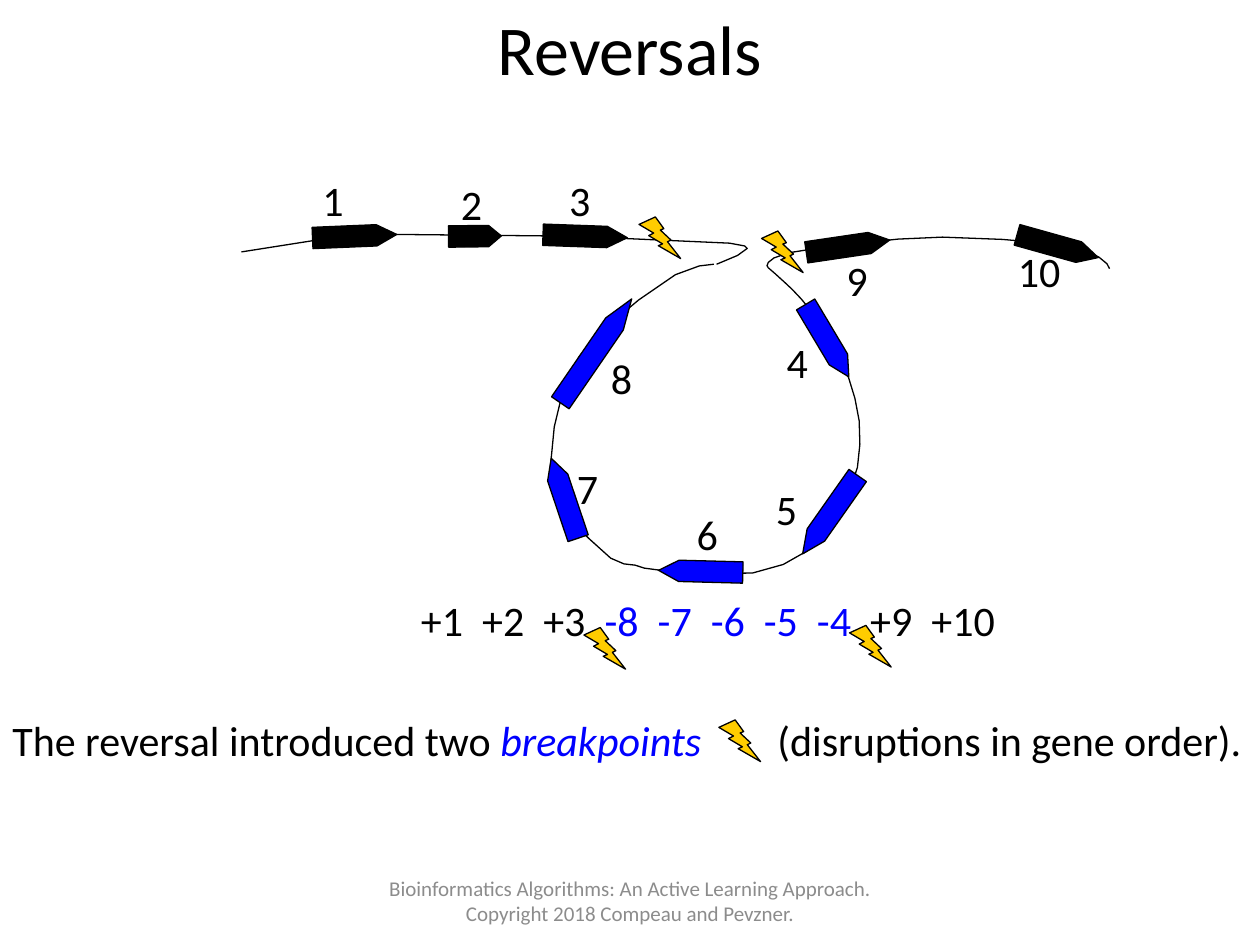
from lxml import etree
from pptx import Presentation
from pptx.dml.color import RGBColor
from pptx.enum.shapes import MSO_SHAPE
from pptx.enum.text import MSO_ANCHOR, PP_ALIGN
from pptx.oxml.ns import qn
from pptx.util import Pt

ARROW, BOLT = MSO_SHAPE.RIGHT_ARROW, MSO_SHAPE.LIGHTNING_BOLT
TOP, MIDDLE = MSO_ANCHOR.TOP, MSO_ANCHOR.MIDDLE
LEFT, CENTER = PP_ALIGN.LEFT, PP_ALIGN.CENTER

BLACK = RGBColor(0, 0, 0)
BLUE = RGBColor(0, 0, 255)
GOLD = RGBColor(255, 204, 0)
GREY = RGBColor(140, 140, 140)

TITLE = "Reversals"
GENE_ORDER = [("+1  +2  +3  ", BLACK), ("-8  -7  -6  -5  -4  ", BLUE), ("+9  +10", BLACK)]
SENTENCE = [
    ("The reversal introduced two ", BLACK),
    ("breakpoints\t", BLUE, True),
    ("(disruptions in gene order).", BLACK),
]
FOOTER = [("Bioinformatics Algorithms: An Active Learning Approach. "
           "Copyright 2018 Compeau and Pevzner.", GREY)]

LOOP = [
    (439, 153), (448, 161), (458, 171), (472, 189), (477, 199), (485, 216),
    (491, 240.5), (490, 267), (482, 289), (479.5, 295), (461, 315),
    (430, 327.5), (378, 326), (363, 323), (349, 319), (325, 296), (321, 290),
    (314.5, 267), (322.5, 220), (344, 189), (386, 157), (408, 151),
]
RIGHT_STRAND = [
    (439, 153), (439, 150), (450.5, 144.5), (491, 139), (538.5, 135.5),
    (604, 139.5), (628, 147), (634, 153.5),
]
LEFT_STRAND = [
    (138, 144), (182.5, 137), (227.5, 134), (327.5, 135), (417, 139),
    (425.5, 140.6), (427, 142), (421.5, 146), (412, 150), (409.5, 151),
]
STRANDS = [(LOOP, 2), (RIGHT_STRAND, 2), (LEFT_STRAND, 1)]

# gene: (arrow left, top, length, rotation, colour), (label left, top, width)
GENES = {
    "1": ((178.6, 128.9, 48.2, 357.6, BLACK), (177.1, 96.1, 26.6)),
    "2": ((256.3, 128.9, 30.2, 359.4, BLACK), (256.3, 98.6, 26.6)),
    "3": ((310.3, 128.9, 48.2, 2, BLACK), (318.2, 96.1, 26.6)),
    "4": ((448.6, 188.6, 48.2, 59.2, BLUE), (442.5, 188.6, 26.6)),
    "5": ((447, 288, 54.7, 125.1, BLUE), (436.3, 272.9, 26.6)),
    "6": ((376.3, 320.4, 48.2, 181.5, BLUE), (391, 287.3, 26.6)),
    "7": ((298.6, 278.6, 48.2, 251.4, BLUE), (322.6, 260.6, 41.8)),
    "8": ((304.6, 194.4, 72, 304.5, BLUE), (342, 198, 41.8)),
    "9": ((460.5, 134.6, 48.2, 351.6, BLACK), (476.6, 141.8, 41.8)),
    "10": ((580.3, 134.6, 48.2, 15.6, BLACK), (574.6, 136.8, 38.9)),
}
ARROW_HEIGHT = 12.2
HEAD_LENGTH = 11.6
BOLTS = [(435.2, 132), (365.2, 124), (410.8, 411.4), (333.7, 358.6), (485.5, 357.4)]
BOLT_SIZE = 23.8
LABEL_HEIGHT = 36
BRACKET_TAB = 437.2


def smooth(points, steps):
    padded = [points[0], *points, points[-1]]
    curve = [points[0]]
    for a, b, c, d in zip(padded, padded[1:], padded[2:], padded[3:]):
        for step in range(1, steps + 1):
            t = step / steps
            curve.append(tuple(
                b[i] + t / 2 * (c[i] - a[i]
                                + t * (2 * a[i] - 5 * b[i] + 4 * c[i] - d[i])
                                + t * t * (3 * b[i] - a[i] - 3 * c[i] + d[i]))
                for i in (0, 1)))
    return curve


def outline(shape, fill=None):
    shape.shadow.inherit = False
    shape.line.color.rgb = BLACK
    shape.line.width = Pt(0.75)
    if fill is None:
        shape.fill.background()
    else:
        shape.fill.solid()
        shape.fill.fore_color.rgb = fill


def add_strand(page, points, steps):
    first, *rest = [(x * 100, y * 100) for x, y in smooth(points, steps)]
    builder = page.shapes.build_freeform(*first, scale=Pt(1) / 100)
    builder.add_line_segments(rest, close=False)
    outline(builder.convert_to_shape())


def add_symbol(page, kind, frame, fill):
    shape = page.shapes.add_shape(kind, *map(Pt, frame))
    outline(shape, fill)
    return shape


def write(box, spans, size=24, align=LEFT, **frame_format):
    for name, value in frame_format.items():
        setattr(box.text_frame, name, value)
    para = box.text_frame.paragraphs[0]
    para.alignment = align
    for text, color, *italic in spans:
        span = para.add_run()
        span.text = text
        for name, value in {"name": "Calibri", "size": Pt(size), "italic": bool(italic)}.items():
            setattr(span.font, name, value)
        span.font.color.rgb = color
    return para


def add_text(page, frame, spans, **options):
    box = page.shapes.add_textbox(*map(Pt, frame))
    return write(box, spans, **options)


def main():
    deck = Presentation()
    deck.slide_width, deck.slide_height = Pt(720), Pt(540)
    page = deck.slides.add_slide(deck.slide_layouts[5])

    title = page.shapes.title
    title.left, title.top, title.width, title.height = map(Pt, (36, 3, 648, 90))
    write(title, [(TITLE, BLACK)], size=40, align=CENTER,
          vertical_anchor=TOP, margin_top=0)

    for points, steps in STRANDS:
        add_strand(page, points, steps)

    for gene, (arrow, label) in GENES.items():
        left, top, length, rotation, color = arrow
        shape = add_symbol(page, ARROW, (left, top, length, ARROW_HEIGHT), color)
        shape.rotation = rotation
        shape.adjustments[0] = 1
        shape.adjustments[1] = HEAD_LENGTH * length / 48.2 / ARROW_HEIGHT
        add_text(page, (*label, LABEL_HEIGHT), [(gene, BLACK)], word_wrap=False)

    add_text(page, (233.5, 336.2, 345.6, LABEL_HEIGHT), GENE_ORDER, word_wrap=False)
    para = add_text(page, (0, 408.2, 720, 156.2), SENTENCE, word_wrap=True)
    para.line_spacing = 0.9
    tabs = etree.SubElement(para._p.get_or_add_pPr(), qn("a:tabLst"))
    etree.SubElement(tabs, qn("a:tab"), pos=str(Pt(BRACKET_TAB)), algn="l")

    for left, top in BOLTS:
        add_symbol(page, BOLT, (left, top, BOLT_SIZE, BOLT_SIZE), GOLD)

    add_text(page, (204, 500.4, 312, 28.8), FOOTER, size=12, align=CENTER,
             word_wrap=True, vertical_anchor=MIDDLE)

    deck.save("out.pptx")


if __name__ == "__main__":
    main()
